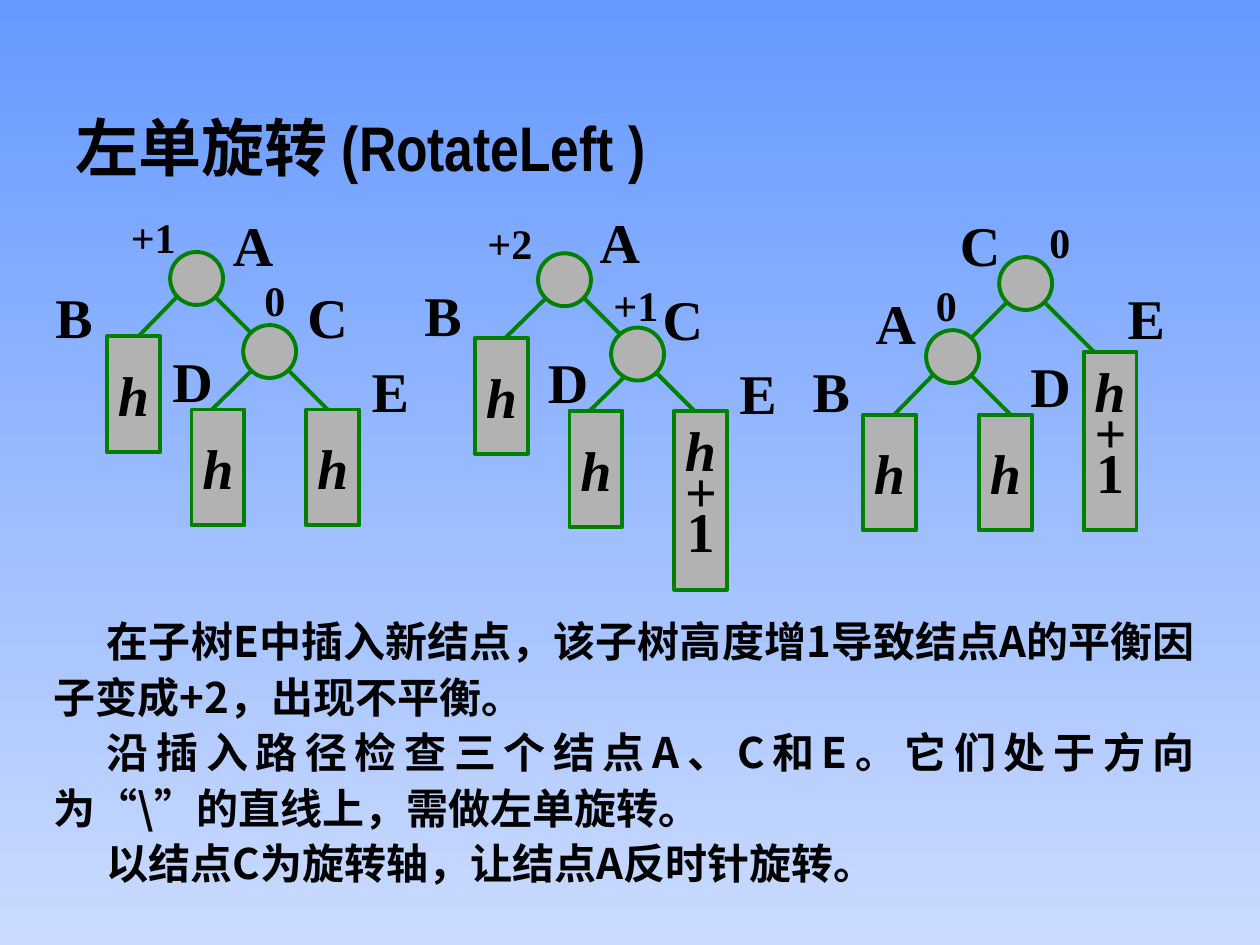
from lxml.etree import SubElement
from pptx import Presentation
from pptx.dml.color import RGBColor
from pptx.enum.shapes import MSO_CONNECTOR, MSO_SHAPE
from pptx.enum.text import MSO_ANCHOR, PP_ALIGN
from pptx.oxml.ns import qn
from pptx.util import Inches, Pt

BLACK = RGBColor(0x00, 0x00, 0x00)
GREEN = RGBColor(0x00, 0x80, 0x00)
GREY = RGBColor(0xB2, 0xB2, 0xB2)
SKY_TOP = RGBColor(0x66, 0x99, 0xFF)
SKY_BOTTOM = RGBColor(0xCA, 0xDB, 0xFF)
LATIN, HAN, NARROW = "Times New Roman", "Noto Sans CJK SC", "Arial Narrow"
NODE = 0.42  # diameter of a node and width of a subtree
HEIGHTS = {"h": 0.92, "h+1": 1.42}

# Each tree: corner of its region, then parts placed from that corner.
TREES = [
    dict(
        corner=(0.34, 1.6),
        nodes=[(1.01, 0.4), (1.59, 0.98)],
        subtrees=[("h", 0.51, 1.07), ("h", 1.18, 1.65), ("h", 2.09, 1.65)],
        edges=[(1.34, 0.73, 1.84, 1.23), (1.93, 1.32, 2.43, 1.82),
               (1.09, 0.73, 0.68, 1.15), (1.68, 1.32, 1.26, 1.73)],
        names=[("A", 1.41, 0.02), ("B", 0, 0.59), ("C", 2.0, 0.59),
               ("D", 0.93, 1.1), ("E", 2.51, 1.18)],
        balances=[("+1", 0.6, 0.03), ("0", 1.66, 0.53)],
    ),
    dict(
        corner=(3.27, 1.6),
        nodes=[(1.0, 0.41), (1.58, 1.0)],
        subtrees=[("h", 0.5, 1.08), ("h", 1.25, 1.66), ("h+1", 2.08, 1.66)],
        edges=[(1.25, 0.65, 1.75, 1.15), (1.83, 1.25, 2.33, 1.75),
               (1.08, 0.75, 0.66, 1.16), (1.83, 1.25, 1.41, 1.66)],
        names=[("A", 1.39, 0), ("B", 0, 0.58), ("C", 1.89, 0.61),
               ("D", 0.98, 1.11), ("E", 2.5, 1.2)],
        balances=[("+2", 0.5, 0.08), ("+1", 1.5, 0.57)],
    ),
    dict(
        corner=(6.35, 1.6),
        nodes=[(1.58, 0.44), (1.0, 1.02)],
        subtrees=[("h", 0.5, 1.69), ("h", 1.42, 1.69), ("h+1", 2.25, 1.19)],
        edges=[(1.83, 0.69, 2.33, 1.19), (1.67, 0.77, 1.25, 1.19),
               (1.08, 1.35, 0.67, 1.77), (1.33, 1.35, 1.83, 1.85)],
        names=[("A", 0.5, 0.64), ("B", 0, 1.18), ("C", 1.17, 0.02),
               ("D", 1.73, 1.14), ("E", 2.5, 0.6)],
        balances=[("0", 0.98, 0.57), ("0", 1.88, 0.07)],
    ),
]

STEPS = [
    "在子树E中插入新结点，该子树高度增1导致结点A的平衡因子变成+2，出现不平衡。",
    "沿插入路径检查三个结点A、C和E。它们处于方向为“\\”的直线上，需做左单旋转。",
    "以结点C为旋转轴，让结点A反时针旋转。",
]


def style(para, size, name=LATIN, italic=False):
    font = para.font
    font.size, font.name = Pt(size), name
    font.bold, font.italic = True, italic
    font.color.rgb = BLACK
    defaults = para._p.pPr.find(qn("a:defRPr"))
    SubElement(defaults, qn("a:ea")).set("typeface", HAN)


def add_outlined(page, kind, left, top, height):
    shape = page.shapes.add_shape(
        kind, Inches(left), Inches(top), Inches(NODE), Inches(height))
    shape.shadow.inherit = False
    shape.fill.solid()
    shape.fill.fore_color.rgb = GREY
    shape.line.color.rgb = GREEN
    shape.line.width = Pt(2.25)
    return shape


def add_edge(page, *ends):
    edge = page.shapes.add_connector(
        MSO_CONNECTOR.STRAIGHT, *(Inches(end) for end in ends))
    edge.line.color.rgb = GREEN
    edge.line.width = Pt(2.25)
    SubElement(edge._element.spPr, qn("a:effectLst"))


def add_subtree(page, height, left, top):
    box = add_outlined(page, MSO_SHAPE.RECTANGLE, left, top, HEIGHTS[height])
    frame = box.text_frame
    frame.word_wrap = False
    frame.vertical_anchor = MSO_ANCHOR.MIDDLE
    frame.text = "\n".join(height)
    for para in frame.paragraphs:
        para.alignment = PP_ALIGN.CENTER
        if len(height) > 1:
            para.line_spacing = 0.6
        style(para, 32, italic=para.text != "1")


def add_label(page, text, left, top, width, size):
    box = page.shapes.add_textbox(
        Inches(left), Inches(top), Inches(width), Inches(size / 50))
    frame = box.text_frame
    frame.word_wrap = False
    frame.text = text
    style(frame.paragraphs[0], size)


def add_tree(page, corner, nodes, subtrees, edges, names, balances):
    left, top = corner
    for x1, y1, x2, y2 in edges:
        add_edge(page, left + x1, top + y1, left + x2, top + y2)
    for x, y in nodes:
        add_outlined(page, MSO_SHAPE.OVAL, left + x, top + y, NODE)
    for height, x, y in subtrees:
        add_subtree(page, height, left + x, top + y)
    for text, x, y in names:
        add_label(page, text, left + x, top + y, 0.52, 32)
    for text, x, y in balances:
        width = 0.6 if len(text) > 1 else 0.38
        add_label(page, text, left + x, top + y, width, 24)


def set_title(page, left, top, width, height):
    title = page.shapes.title
    title.left, title.top = Inches(left), Inches(top)
    title.width, title.height = Inches(width), Inches(height)
    frame = title.text_frame
    frame.vertical_anchor = MSO_ANCHOR.MIDDLE
    frame.text = "左单旋转 (RotateLeft )"
    para = frame.paragraphs[0]
    para.alignment = PP_ALIGN.JUSTIFY
    style(para, 36, NARROW)


def add_steps(page, left, top, width, height):
    box = page.shapes.add_textbox(
        Inches(left), Inches(top), Inches(width), Inches(height))
    frame = box.text_frame
    frame.word_wrap = True
    frame.text = "\n".join(STEPS)
    for para in frame.paragraphs:
        para.alignment = PP_ALIGN.JUSTIFY
        para.line_spacing = 1.1
        style(para, 24, HAN)
        para._p.pPr.set("indent", str(Inches(0.42)))


def paint_background(page):
    fill = page.background.fill
    fill.gradient()
    fill.gradient_angle = 270
    for stop, color in zip(fill.gradient_stops, (SKY_TOP, SKY_BOTTOM)):
        stop.color.rgb = color


def main():
    deck = Presentation()
    deck.slide_width, deck.slide_height = Inches(10), Inches(7.5)
    page = deck.slides.add_slide(deck.slide_layouts[5])
    paint_background(page)
    set_title(page, 0.5, 0.83, 5.17, 0.67)
    for tree in TREES:
        add_tree(page, **tree)
    add_steps(page, 0.33, 4.8, 9.25, 2.4)
    deck.save("out.pptx")


if __name__ == "__main__":
    main()
